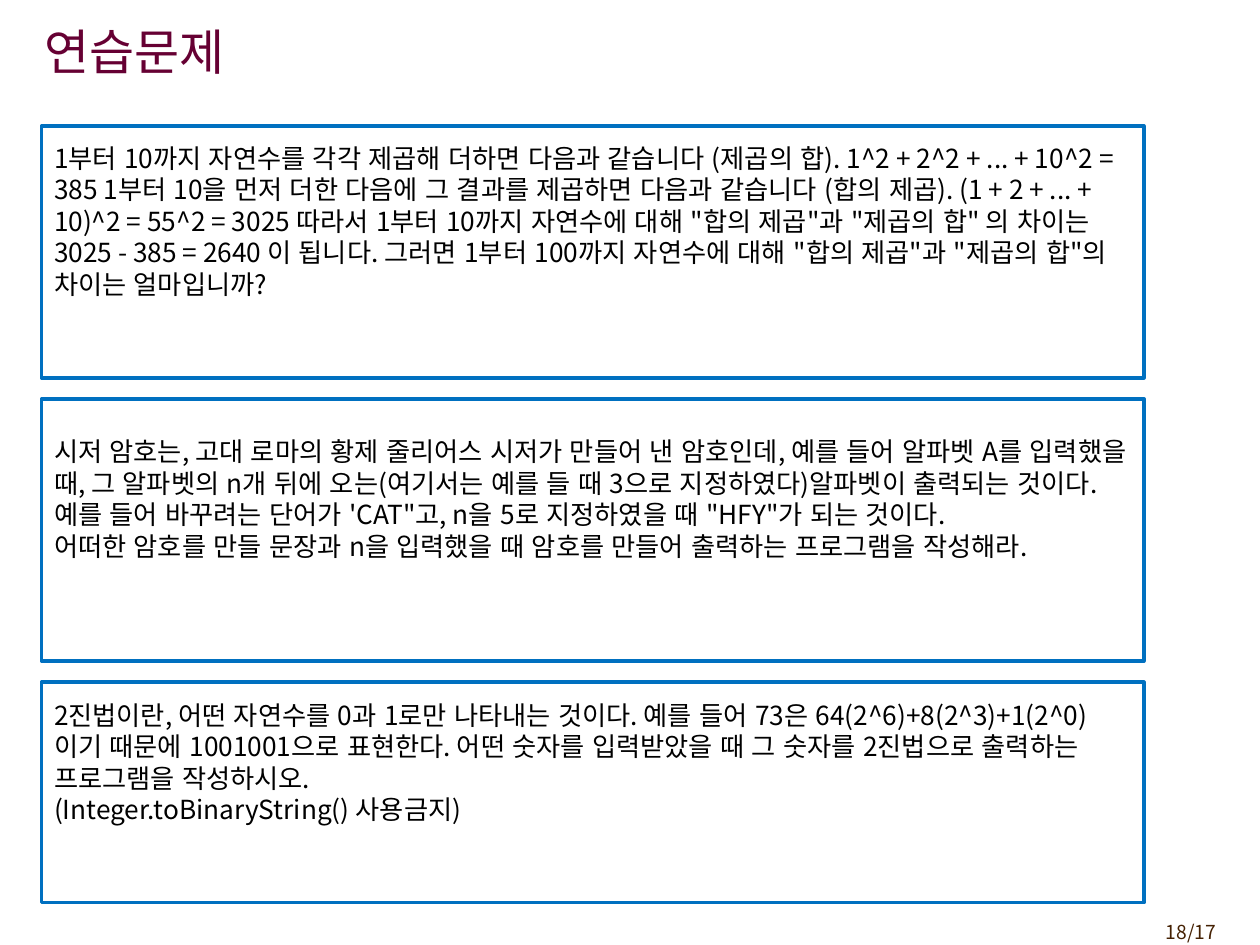
from pptx import Presentation
from pptx import util as u
from pptx.dml.color import RGBColor
from pptx.enum import lang, shapes, text
from pptx.oxml.ns import qn
from lxml import etree

FONT = "Noto Sans CJK KR"
HEADING = "연습문제"
PAGE = "18/17"
EXERCISES = [
    {"height": 5.08, "inset": 0.32, "lines": [
        "1부터 10까지 자연수를 각각 제곱해 더하면 다음과 같습니다 (제곱의 합). "
        "1^2 + 2^2 + ... + 10^2 = 385 1부터 10을 먼저 더한 다음에 그 결과를 제곱하면 "
        "다음과 같습니다 (합의 제곱). (1 + 2 + ... + 10)^2 = 55^2 = 3025 따라서 "
        "1부터 10까지 자연수에 대해 \"합의 제곱\"과 \"제곱의 합\" 의 차이는 "
        "3025 - 385 = 2640 이 됩니다. 그러면 1부터 100까지 자연수에 대해 "
        "\"합의 제곱\"과 \"제곱의 합\"의 차이는 얼마입니까?"]},
    {"height": 5.29, "inset": 0.74, "lines": [
        "시저 암호는, 고대 로마의 황제 줄리어스 시저가 만들어 낸 암호인데, "
        "예를 들어 알파벳 A를 입력했을 때, 그 알파벳의 n개 뒤에 오는"
        "(여기서는 예를 들 때 3으로 지정하였다)알파벳이 출력되는 것이다. "
        "예를 들어 바꾸려는 단어가 'CAT\"고, n을 5로 지정하였을 때 \"HFY\"가 되는 것이다.",
        "어떠한 암호를 만들 문장과 n을 입력했을 때 암호를 만들어 출력하는 프로그램을 작성해라."]},
    {"height": 4.45, "inset": 0.34, "lines": [
        "2진법이란, 어떤 자연수를 0과 1로만 나타내는 것이다. 예를 들어 73은 "
        "64(2^6)+8(2^3)+1(2^0)이기 때문에 1001001으로 표현한다. 어떤 숫자를 입력받았을 때 "
        "그 숫자를 2진법으로 출력하는 프로그램을 작성하시오.",
        "(Integer.toBinaryString() 사용금지)"]},
]
LEFT, TOP, WIDTH, GAP = 0.84, 2.54, 22.22, 0.42


def color(value):
    return RGBColor.from_string(value)


def write(frame, lines, size, ink, align=text.PP_ALIGN.LEFT, pitch=None):
    frame.word_wrap = True
    frame.auto_size = text.MSO_AUTO_SIZE.NONE
    frame.text = "\n".join(lines)
    for paragraph in frame.paragraphs:
        paragraph.alignment = align
        if pitch:
            paragraph.line_spacing = u.Pt(pitch)
        for run in paragraph.runs:
            run.font.size = u.Pt(size)
            run.font.name = FONT
            run.font.color.rgb = color(ink)
            run.font.language_id = lang.MSO_LANGUAGE_ID.KOREAN
            east_asian = etree.SubElement(run.font._element, qn("a:ea"))
            east_asian.set("typeface", FONT)


deck = Presentation()
deck.slide_width, deck.slide_height = u.Cm(25.4), u.Cm(19.05)
slide = deck.slides.add_slide(deck.slide_layouts[5])

heading = slide.shapes.title
heading.left, heading.top = u.Cm(0.64), u.Cm(0.23)
heading.width, heading.height = u.Cm(21), u.Cm(1.6)
heading.text_frame.vertical_anchor = text.MSO_ANCHOR.MIDDLE
write(heading.text_frame, [HEADING], 28, "660033")

top = TOP
for exercise in EXERCISES:
    panel = slide.shapes.add_shape(
        shapes.MSO_SHAPE.RECTANGLE,
        u.Cm(LEFT), u.Cm(top), u.Cm(WIDTH), u.Cm(exercise["height"]))
    panel.shadow.inherit = False
    panel.fill.background()
    panel.line.color.rgb = color("0070C0")
    panel.line.width = u.Pt(2)
    panel.text_frame.vertical_anchor = text.MSO_ANCHOR.TOP
    panel.text_frame.margin_top = u.Cm(exercise["inset"])
    write(panel.text_frame, exercise["lines"], 15, "000000", pitch=18)
    top += exercise["height"] + GAP

page = slide.shapes.add_textbox(u.Cm(22.66), u.Cm(18.42), u.Cm(2.11), u.Cm(0.74))
write(page.text_frame, [PAGE], 11, "452103", text.PP_ALIGN.RIGHT)

deck.save("out.pptx")
